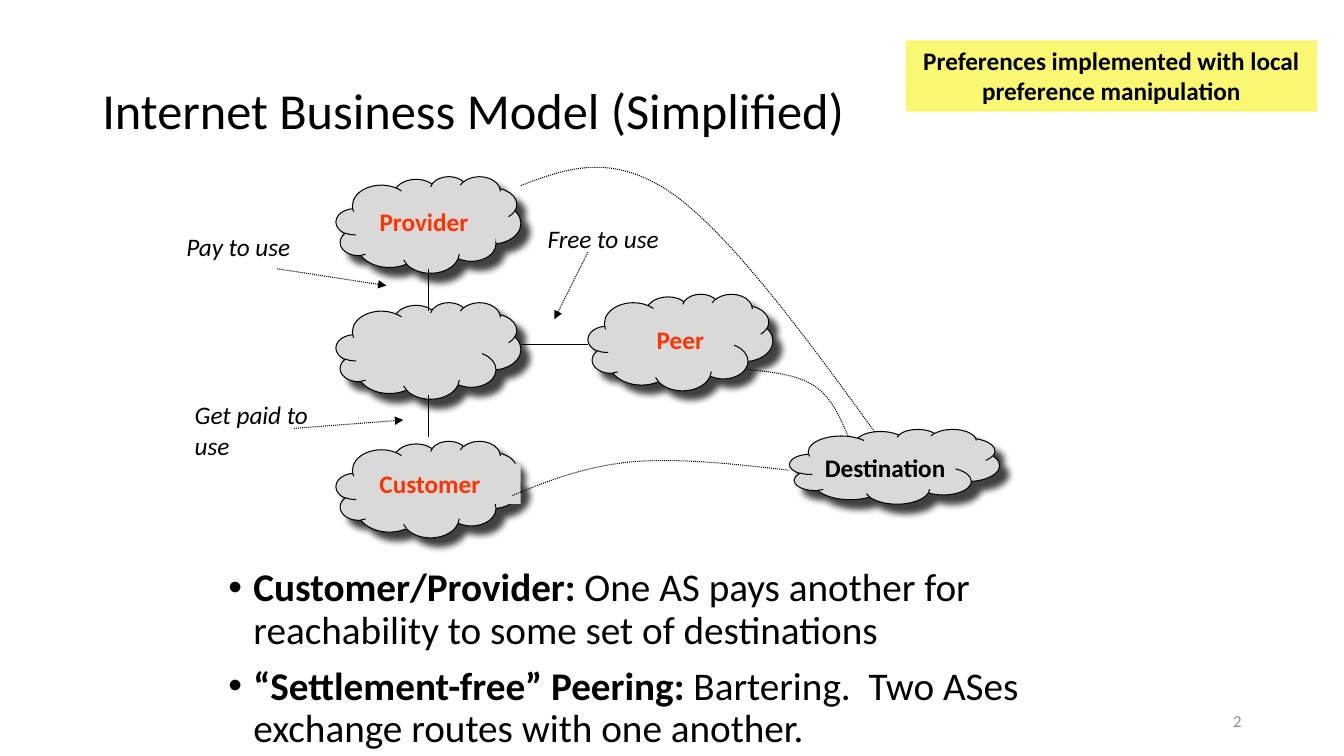
from lxml import etree
from pptx import Presentation
from pptx.dml.color import RGBColor
from pptx.enum.dml import MSO_LINE
from pptx.enum.shapes import MSO_CONNECTOR, MSO_SHAPE
from pptx.enum.text import MSO_ANCHOR, PP_ALIGN
from pptx.oxml import parse_xml
from pptx.oxml.ns import nsdecls, qn
from pptx.util import Inches, Pt

CLOUD, RECTANGLE = MSO_SHAPE.CLOUD, MSO_SHAPE.RECTANGLE
STRAIGHT, DOTTED = MSO_CONNECTOR.STRAIGHT, MSO_LINE.ROUND_DOT
TOP, MIDDLE = MSO_ANCHOR.TOP, MSO_ANCHOR.MIDDLE
LEFT, CENTER, RIGHT = PP_ALIGN.LEFT, PP_ALIGN.CENTER, PP_ALIGN.RIGHT

THEME = {
    "font": "Calibri", "title": 36, "body": 28, "label": 18, "number": 12, "line": 0.75,
    "ink": RGBColor.from_string("000000"), "accent": RGBColor.from_string("FF3300"),
    "cloud": RGBColor.from_string("D9D9D9"), "note": RGBColor.from_string("FAF772"),
    "muted": RGBColor.from_string("8C8C8C"),
}
COLUMNS, ROWS = 160, 90
LABEL_ROWS, TWO_LINE_ROWS = 4.8, 8.5

presentation = Presentation()
presentation.slide_width, presentation.slide_height = Inches(13.333), Inches(7.5)
CELL = presentation.slide_height / ROWS
slide = presentation.slides.add_slide(presentation.slide_layouts[6])
shapes = slide.shapes


def grid(*cells):
    return [round(cell * CELL) for cell in cells]


def add_text(box, paragraphs, size, color="ink", fill=None, align=LEFT, anchor=TOP, spacing=1.0):
    if fill:
        shape = shapes.add_shape(RECTANGLE, *grid(*box))
        shape.shadow.inherit = False
        shape.fill.solid()
        shape.fill.fore_color.rgb = THEME[fill]
        shape.line.fill.background()
    else:
        shape = shapes.add_textbox(*grid(*box))
    frame = shape.text_frame
    frame.word_wrap, frame.vertical_anchor = True, anchor
    for index, runs in enumerate(paragraphs):
        paragraph = frame.add_paragraph() if index else frame.paragraphs[0]
        paragraph.alignment, paragraph.line_spacing = align, spacing
        for text, style in runs:
            run = paragraph.add_run()
            run.text = text
            run.font.color.rgb = THEME[color]
            font_format = {"name": THEME["font"], "size": Pt(THEME[size]), **style}
            for name, value in font_format.items():
                setattr(run.font, name, value)
    return frame


BOLD, ITALIC, PLAIN = {"bold": True}, {"italic": True}, {}

add_text((11, 4.8, 138, 17.4), [[("Internet Business Model (Simplified)", PLAIN)]],
         "title", anchor=MIDDLE, spacing=0.9)

body = add_text((26, 67, 108, 24.4), [
    [("Customer/Provider:", BOLD),
     (" One AS pays another for reachability to some set of destinations", PLAIN)],
    [("“Settlement-free” Peering: ", BOLD),
     ("Bartering.  Two ASes exchange routes with one another.", PLAIN)],
], "body", spacing=0.9)
for paragraph in body.paragraphs:
    paragraph.space_before = Pt(10)
    properties = paragraph._p.get_or_add_pPr()
    properties.set("marL", str(Inches(0.25)))
    properties.set("indent", str(-Inches(0.25)))
    etree.SubElement(properties, qn("a:buFont")).set("typeface", "Arial")
    etree.SubElement(properties, qn("a:buChar")).set("char", "•")

add_text((113, 83.4, 36, LABEL_ROWS), [[("2", PLAIN)]], "number", "muted",
         align=RIGHT, anchor=MIDDLE)

provider_route = [(62, 22.1), (67.5, 20), (73, 18), (80.4, 23.3), (87.7, 28.7), (96.8, 41.3), (106, 54)]
peer_route = [(89, 44), (92, 44.3), (95, 44.6), (97, 46), (99, 47.3), (100, 49.7), (101, 52)]
customer_route = [(61, 59), (65.3, 57.2), (69.5, 55.6), (75, 55), (80.5, 54.5), (87.2, 55.2), (94, 56)]
clouds = [(40, 36, 22, 11.5), (70, 35, 22, 11.5), (40, 21, 22, 11.5),
          (40, 52.5, 22, 11.5), (94, 51.1, 25, 8.9)]
STEPS = 24

for route in (provider_route, None, peer_route, customer_route):
    if route:
        points = []
        for first in (0, 3):
            controls = route[first:first + 4]
            for step in range(STEPS + 1):
                t = step / STEPS
                weights = ((1 - t) ** 3, 3 * t * (1 - t) ** 2, 3 * t ** 2 * (1 - t), t ** 3)
                points.append(grid(*(sum(w * c for w, c in zip(weights, axis))
                                     for axis in zip(*controls))))
        builder = shapes.build_freeform(*points[0])
        builder.add_line_segments(points[1:], close=False)
        curve = builder.convert_to_shape()
        curve.shadow.inherit = False
        curve.fill.background()
        curve.line.color.rgb = THEME["ink"]
        curve.line.width, curve.line.dash_style = Pt(THEME["line"]), DOTTED
        continue
    for box in clouds:
        cloud = shapes.add_shape(CLOUD, *grid(*box))
        cloud.fill.solid()
        cloud.fill.fore_color.rgb = THEME["cloud"]
        cloud.line.color.rgb = THEME["ink"]
        cloud.line.width = Pt(THEME["line"])
        cloud._element.spPr.append(parse_xml(
            f'<a:effectLst {nsdecls("a")}><a:outerShdw blurRad="{Pt(5)}" dist="{Pt(8.5)}" '
            'dir="2700000" algn="ctr" rotWithShape="0"><a:srgbClr val="000000">'
            '<a:alpha val="75000"/></a:srgbClr></a:outerShdw></a:effectLst>'))
    for text, box, color, fill in [
        ("Provider", (44, 24, 15, LABEL_ROWS), "accent", "cloud"),
        ("Peer", (77, 38, 15, LABEL_ROWS), "accent", None),
        ("Customer", (44, 55.2, 18, LABEL_ROWS), "accent", "cloud"),
        ("Destination", (97, 53.2, 21, LABEL_ROWS), "ink", None),
    ]:
        add_text(box, [[(text, BOLD)]], "label", color, fill)

add_text((107.8, 4.8, 49, TWO_LINE_ROWS),
         [[("Preferences implemented with local preference manipulation", BOLD)]],
         "label", fill="note", align=CENTER)

for text, box in [
    ("Pay to use", (21, 27, 17, LABEL_ROWS)),
    ("Get paid to use", (22, 47, 17, TWO_LINE_ROWS)),
    ("Free to use", (64, 26, 20, LABEL_ROWS)),
]:
    add_text(box, [[(text, ITALIC)]], "label")

for ends, is_arrow in [
    ((51, 32, 51, 37), False), ((51, 47, 51, 52), False), ((62, 41, 70, 41), False),
    ((33, 32, 46, 34), True), ((35, 51, 48, 50), True), ((70, 30, 66, 38), True),
]:
    connector = shapes.add_connector(STRAIGHT, *grid(*ends))
    connector.line.color.rgb = THEME["ink"]
    connector.line.width = Pt(THEME["line"])
    if is_arrow:
        connector.line.dash_style = DOTTED
        etree.SubElement(connector.line._get_or_add_ln(), qn("a:tailEnd")).set("type", "triangle")
    etree.SubElement(connector._element.spPr, qn("a:effectLst"))

presentation.save("out.pptx")
